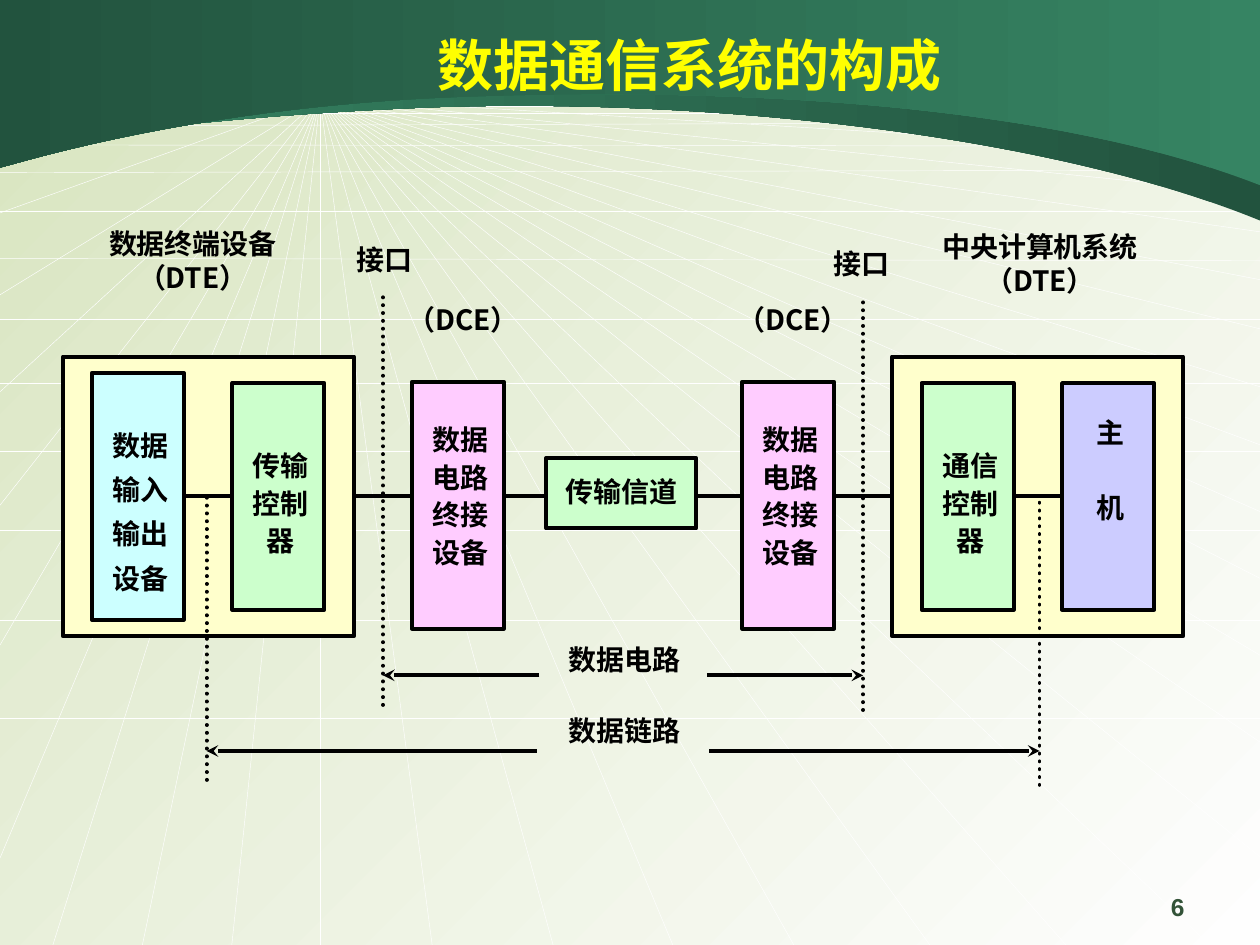
from dataclasses import dataclass

from lxml import etree
from pptx import Presentation
from pptx.dml.color import RGBColor
from pptx.enum.dml import MSO_LINE
from pptx.enum.shapes import MSO_CONNECTOR, MSO_SHAPE
from pptx.enum.text import MSO_ANCHOR, PP_ALIGN
from pptx.oxml.ns import qn
from pptx.util import Inches, Pt

RECTANGLE = MSO_SHAPE.RECTANGLE
STRAIGHT = MSO_CONNECTOR.STRAIGHT
DOTTED = MSO_LINE.ROUND_DOT
TOP, MIDDLE = MSO_ANCHOR.TOP, MSO_ANCHOR.MIDDLE
CENTER, RIGHT = PP_ALIGN.CENTER, PP_ALIGN.RIGHT
LEFT_SIDE, RIGHT_SIDE = 1, 3
COLUMNS, ROWS = 100, 75
SLIDE_WIDTH, SLIDE_HEIGHT = Inches(10), Inches(7.5)


@dataclass(frozen=True)
class Theme:
    ink: str = "000000"
    white: str = "FFFFFF"
    title: str = "FFFF00"
    number: str = "335338"
    paper: str = "FEFEFE"
    leaf: str = "D7E4BE"
    dark: str = "22533E"
    green: str = "368463"
    cream: str = "FFFFCC"
    cyan: str = "CCFFFF"
    mint: str = "CCFFCC"
    lilac: str = "CCCCFF"
    pink: str = "FFCCFF"
    title_size: float = 32
    body_size: float = 16
    number_size: float = 14
    stroke: float = 2.25
    hairline: float = 0.25
    heading_font: str = "Noto Sans CJK SC"
    box_font: str = "Times New Roman"
    number_font: str = "Arial"


THEME = Theme()


@dataclass(frozen=True)
class Box:
    left: float
    top: float
    width: float
    height: float
    fill: str
    lines: tuple[str, ...] = ()
    text_top: float = 0
    spacing: float = 1.12
    gap: float = 0
    indent: float = 0.4


@dataclass(frozen=True)
class Label:
    left: float
    top: float
    width: float
    height: float
    text: str
    size: float = THEME.body_size
    color: str = THEME.ink
    font: str = THEME.heading_font
    align: PP_ALIGN = CENTER
    anchor: MSO_ANCHOR = TOP


@dataclass(frozen=True)
class Band:
    points: tuple[tuple[float, float], ...]
    start: str
    end: str


FRAMES = (Box(5, 28.3, 23.1, 22.2, THEME.cream), Box(70.8, 28.3, 23.1, 22.2, THEME.cream))
TERMINAL = Box(7.3, 29.6, 7.3, 19.6, THEME.cyan, ("数据", "输入", "输出", "设备"), 3.55, 1.32)
SENDER = Box(18.45, 30.4, 7.3, 18, THEME.mint, ("传输", "控制", "器"), 4.9)
RECEIVER = Box(73.15, 30.4, 7.3, 18, THEME.mint, ("通信", "控制", "器"), 4.9)
HOST = Box(84.3, 30.4, 7.3, 18, THEME.lilac, ("主", "机"), 2.28, gap=21.4)
CHANNEL = Box(43.35, 36.35, 11.9, 5.6, THEME.mint, ("传输信道",), 1.35, 1, indent=0)
CIRCUITS = [Box(left, 30.3, 7.3, 19.6, THEME.pink, ("数据", "电路", "终接", "设备"), 2.92)
            for left in (32.7, 58.9)]

LABELS = (
    Label(6.05, 17.5, 18.5, 10, "数据终端设备（DTE）"),
    Label(71.9, 17.75, 21.3, 8.2, "中央计算机系统（DTE）"),
    Label(30.65, 23.5, 12.2, 6.4, "（DCE）"),
    Label(56.85, 23.5, 12.2, 6.4, "（DCE）"),
    Label(26.2, 18.75, 8.6, 6.4, "接口"),
    Label(64.1, 19.1, 8.6, 6.4, "接口"),
    Label(42.8, 50.5, 13.5, 6.3, "数据电路"),
    Label(42.8, 56.15, 13.5, 6.3, "数据链路"),
    Label(31.15, 2.2, 47.2, 5.7, "数据通信系统的构成", THEME.title_size, THEME.title, anchor=MIDDLE),
    Label(71.7, 70.3, 23.3, 3.5, "6", THEME.number_size, THEME.number, THEME.number_font, RIGHT),
)

VANISHING_POINT = (25.4, 7.8)
RAYS_RIGHT = (10, 12.3, 15.4, 18.4, 22.2, 26.1, 30.7, 35.3, 40.6, 45.9, 52, 58.9, 68)
RAYS_BOTTOM = (4.2, 11.3, 18.4, 25.4, 34.3, 43.9, 53.4, 63, 73.8, 84.6, 96)
RAYS_LEFT = (7.8, 9.7, 11.6, 16.9, 23.4, 31.1, 40.1, 51.2, 68.1)
LATITUDES = ((8.4, 8.4), (9, 9), (10, 9.7), (11.5, 11.6), (13.7, 13.5), (16.8, 16.8), (20.5, 20.7),
             (25.3, 25.3), (30.4, 30.4), (35.8, 35.8), (42.1, 42.1), (49.2, 49.2), (57, 57))

BANDS = (
    Band(((0, 11.9), (1.1, 11.8), (13.3, 9.3), (34.7, 8.5), (56.1, 7.8), (83.1, 10.6), (100, 17.5)),
         THEME.dark, THEME.green),
    Band(((0, 13.3), (1.1, 13.1), (15.1, 8.5), (36.4, 7.7), (57.7, 6.9), (83.1, 8.1), (100, 14.7)),
         THEME.green, THEME.dark),
)
INTERFACES = ((30.4, 23.6, 56.5), (68.5, 24, 56.8), (16.4, 39.5, 62.4), (82.5, 39.9, 62.8))
SPANS = ((53.6, 42.8, 30.4, 56.1, 68.5), (59.6, 42.6, 16.4, 56.3, 82.5))


def across(columns: float) -> int:
    return round(SLIDE_WIDTH * columns / COLUMNS)


def down(rows: float) -> int:
    return round(SLIDE_HEIGHT * rows / ROWS)


def set_gradient(fill, start: str, end: str, angle: float) -> None:
    fill.gradient()
    fill.gradient_angle = angle
    for stop, color in zip(fill.gradient_stops, (start, end)):
        stop.color.rgb = RGBColor.from_string(color)


def format_run(run, size: float, color: str, font: str) -> None:
    run.font.size, run.font.bold, run.font.name = Pt(size), True, font
    run.font.color.rgb = RGBColor.from_string(color)
    east_asian = etree.SubElement(run.font._element, qn("a:ea"))
    east_asian.set("typeface", THEME.heading_font)


def draw_line(slide, start, end, color=THEME.ink, width=THEME.stroke, dotted=False, arrow=False):
    connector = slide.shapes.add_connector(
        STRAIGHT, across(start[0]), down(start[1]), across(end[0]), down(end[1]))
    connector.line.color.rgb = RGBColor.from_string(color)
    connector.line.width = Pt(width)
    outline = connector.line._get_or_add_ln()
    if dotted:
        connector.line.dash_style = DOTTED
        outline.set("cap", "rnd")
    if arrow:
        etree.SubElement(outline, qn("a:tailEnd")).set("type", "stealth")
    etree.SubElement(connector._element.spPr, qn("a:effectLst"))
    return connector


def join(slide, first, second) -> None:
    connector = draw_line(slide, (0, 0), (1, 1))
    connector.begin_connect(first, RIGHT_SIDE)
    connector.end_connect(second, LEFT_SIDE)


def draw_box(slide, box: Box):
    shape = slide.shapes.add_shape(
        RECTANGLE, across(box.left), down(box.top), across(box.width), down(box.height))
    shape.shadow.inherit = False
    shape.fill.solid()
    shape.fill.fore_color.rgb = RGBColor.from_string(box.fill)
    shape.line.color.rgb = RGBColor.from_string(THEME.ink)
    shape.line.width = Pt(THEME.stroke)
    if box.lines:
        frame = shape.text_frame
        frame.word_wrap, frame.vertical_anchor = True, TOP
        frame.margin_left, frame.margin_right = across(box.indent), 0
        frame.margin_top, frame.margin_bottom = down(box.text_top), 0
        frame.text = "\n".join(box.lines)
        for index, paragraph in enumerate(frame.paragraphs):
            paragraph.alignment, paragraph.line_spacing = CENTER, box.spacing
            if index and box.gap:
                paragraph.space_before = Pt(box.gap)
            format_run(paragraph.runs[0], THEME.body_size, THEME.ink, THEME.box_font)
    return shape


def draw_label(slide, label: Label) -> None:
    frame = slide.shapes.add_textbox(
        across(label.left), down(label.top), across(label.width), down(label.height)).text_frame
    frame.word_wrap, frame.vertical_anchor = True, label.anchor
    frame.text = label.text
    frame.paragraphs[0].alignment = label.align
    format_run(frame.paragraphs[0].runs[0], label.size, label.color, label.font)


def bend_segments(shape, curve_count: int) -> None:
    segments = list(shape._element.iter(qn("a:lnTo")))[1:]
    for first in range(0, 3 * curve_count, 3):
        curve = etree.Element(qn("a:cubicBezTo"))
        segments[first].addprevious(curve)
        for segment in segments[first:first + 3]:
            curve.append(segment[0])
            segment.getparent().remove(segment)


def draw_band(slide, band: Band) -> None:
    outline = [*band.points, (COLUMNS, 0)]
    builder = slide.shapes.build_freeform(0, 0)
    builder.add_line_segments([(across(x), down(y)) for x, y in outline], close=True)
    shape = builder.convert_to_shape()
    bend_segments(shape, len(band.points) // 3)
    shape.shadow.inherit = False
    shape.line.fill.background()
    set_gradient(shape.fill, band.start, band.end, 180)


def draw_backdrop(slide) -> None:
    set_gradient(slide.background.fill, THEME.paper, THEME.leaf, 135)
    ends = [(COLUMNS, y) for y in RAYS_RIGHT] + [(x, ROWS) for x in RAYS_BOTTOM]
    ends += [(0, y) for y in RAYS_LEFT]
    lines = [(VANISHING_POINT, end) for end in ends]
    lines += [((0, left), (COLUMNS, right)) for left, right in LATITUDES]
    for start, end in lines:
        draw_line(slide, start, end, THEME.white, THEME.hairline)
    for band in BANDS:
        draw_band(slide, band)


def draw_diagram(slide) -> None:
    join(slide, *(draw_box(slide, frame) for frame in FRAMES))
    for pair in ((TERMINAL, SENDER), (RECEIVER, HOST)):
        join(slide, *(draw_box(slide, box) for box in pair))
    for box in (*CIRCUITS, CHANNEL):
        draw_box(slide, box)
    for x, top, bottom in INTERFACES:
        draw_line(slide, (x, top), (x, bottom), dotted=True)
    for y, left_start, left_end, right_start, right_end in SPANS:
        draw_line(slide, (left_start, y), (left_end, y), arrow=True)
        draw_line(slide, (right_start, y), (right_end, y), arrow=True)
    for label in LABELS:
        draw_label(slide, label)


def main() -> None:
    presentation = Presentation()
    presentation.slide_width, presentation.slide_height = SLIDE_WIDTH, SLIDE_HEIGHT
    slide = presentation.slides.add_slide(presentation.slide_layouts[6])
    draw_backdrop(slide)
    draw_diagram(slide)
    presentation.save("out.pptx")


if __name__ == "__main__":
    main()
